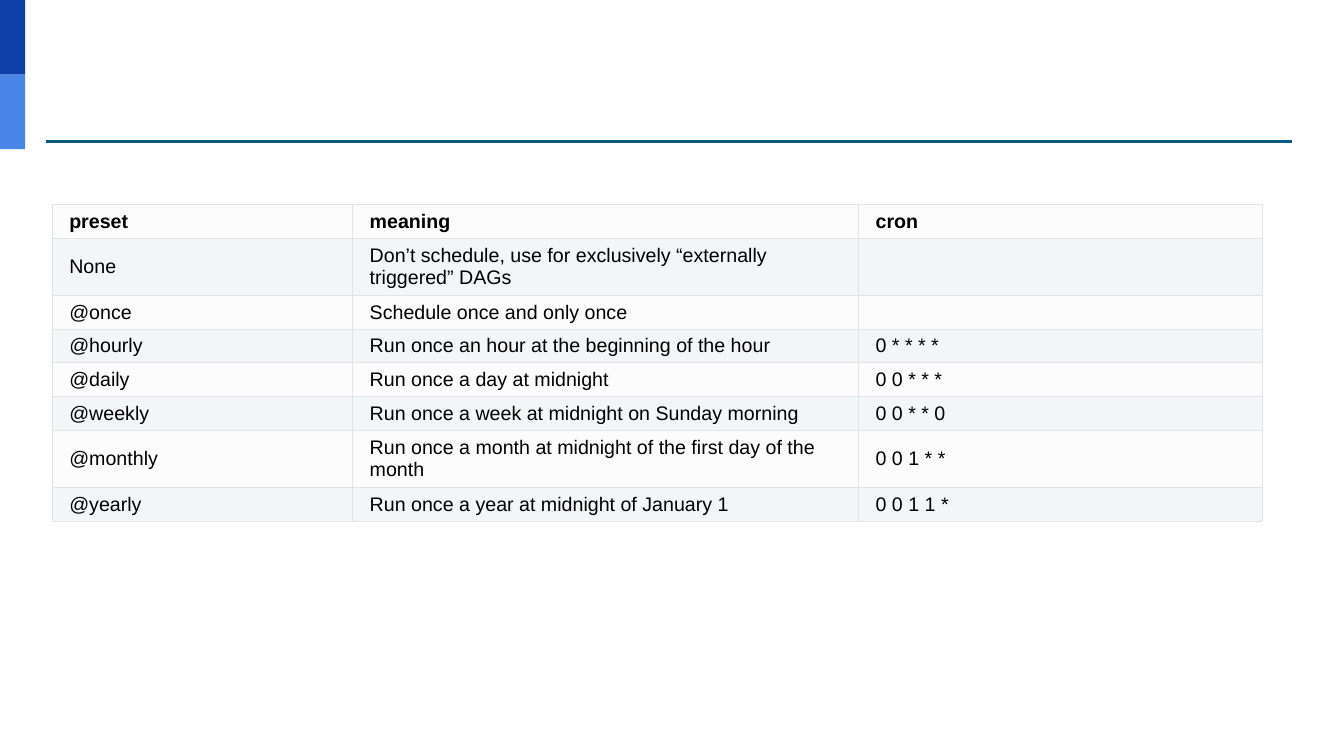
from lxml import etree
from pptx import Presentation
from pptx.dml.color import RGBColor
from pptx.enum.shapes import MSO_CONNECTOR, MSO_SHAPE
from pptx.enum.text import MSO_ANCHOR
from pptx.oxml.ns import qn
from pptx.util import Pt

RECT = MSO_SHAPE.RECTANGLE
LINE = MSO_CONNECTOR.STRAIGHT
MIDDLE = MSO_ANCHOR.MIDDLE

COLORS = {
    "navy": "0F3FA8",
    "blue": "4A86E8",
    "rule": "095A82",
    "text": "000000",
    "odd": "FCFCFC",
    "even": "F3F6F6",
    "edge": "E1E4E5",
}
FONT = "Arial"
SIZE = 14

WIDTHS = [214.6, 361.4, 288]
LOW, TALL = 24, 41  # heights of rows with one and two lines
ROWS = [
    (LOW, "preset", "meaning", "cron"),
    (TALL, "None", "Don’t schedule, use for exclusively “externally triggered” DAGs", ""),
    (LOW, "@once", "Schedule once and only once", ""),
    (LOW, "@hourly", "Run once an hour at the beginning of the hour", "0 * * * *"),
    (LOW, "@daily", "Run once a day at midnight", "0 0 * * *"),
    (LOW, "@weekly", "Run once a week at midnight on Sunday morning", "0 0 * * 0"),
    (TALL, "@monthly", "Run once a month at midnight of the first day of the month", "0 0 1 * *"),
    (LOW, "@yearly", "Run once a year at midnight of January 1", "0 0 1 1 *"),
]


def color(name):
    return RGBColor.from_string(COLORS[name])


def add_bar(slide, top, fill):
    bar = slide.shapes.add_shape(RECT, Pt(0), Pt(top), Pt(18), Pt(53.3))
    bar.shadow.inherit = False
    bar.fill.solid()
    bar.fill.fore_color.rgb = color(fill)
    bar.line.fill.background()


def add_rule(slide, left, right, top):
    rule = slide.shapes.add_connector(LINE, Pt(left), Pt(top), Pt(right), Pt(top))
    rule.line.color.rgb = color("rule")
    rule.line.width = Pt(2.25)
    etree.SubElement(rule._element.spPr, qn("a:effectLst"))


def add_edges(cell):
    props = cell._tc.get_or_add_tcPr()
    for side in ("lnL", "lnR", "lnT", "lnB"):
        edge = etree.SubElement(props, qn("a:" + side), w=str(Pt(0.75)))
        fill = etree.SubElement(edge, qn("a:solidFill"))
        etree.SubElement(fill, qn("a:srgbClr"), val=COLORS["edge"])


def fill_cell(cell, text, fill, bold):
    add_edges(cell)
    cell.fill.solid()
    cell.fill.fore_color.rgb = color(fill)
    cell.vertical_anchor = MIDDLE
    cell.margin_left = cell.margin_right = Pt(12)
    cell.margin_top = cell.margin_bottom = Pt(3.6)
    para = cell.text_frame.paragraphs[0]
    if not text:
        # An empty cell keeps the text size, so its row stays low
        etree.SubElement(para._p, qn("a:endParaRPr"), sz=str(SIZE * 100))
        return
    run = para.add_run()
    run.text = text
    run.font.name = FONT
    run.font.size = Pt(SIZE)
    run.font.bold = bold
    run.font.color.rgb = color("text")


def add_grid(slide, left, top):
    height = sum(row[0] for row in ROWS)
    frame = slide.shapes.add_table(
        len(ROWS), len(WIDTHS), Pt(left), Pt(top), Pt(sum(WIDTHS)), Pt(height))
    table = frame.table
    for col, width in zip(table.columns, WIDTHS):
        col.width = Pt(width)
    for i, (high, *texts) in enumerate(ROWS):
        table.rows[i].height = Pt(high)
        fill = "even" if i % 2 else "odd"
        for j, text in enumerate(texts):
            fill_cell(table.cell(i, j), text, fill, i == 0)


def main():
    deck = Presentation()
    deck.slide_width, deck.slide_height = Pt(960), Pt(540)
    slide = deck.slides.add_slide(deck.slide_layouts[6])

    # Side bars and title rule
    add_bar(slide, 0, "navy")
    add_bar(slide, 53.3, "blue")
    add_rule(slide, 33, 923, 101)

    # Schedule presets
    add_grid(slide, 37.5, 146)

    deck.save("out.pptx")


if __name__ == "__main__":
    main()
